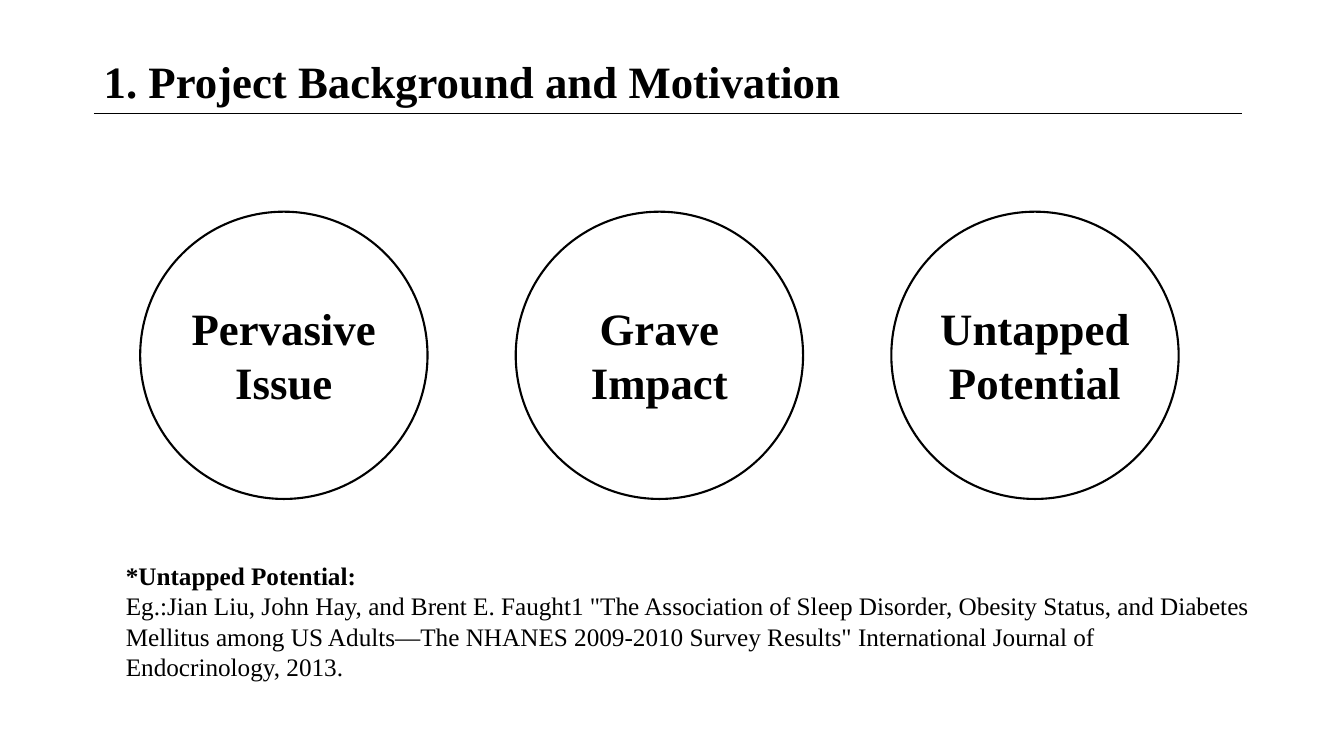
from pptx import Presentation
from pptx.dml.color import RGBColor
from pptx.enum.shapes import MSO_CONNECTOR, MSO_SHAPE
from pptx.enum.text import MSO_AUTO_SIZE, PP_ALIGN
from pptx.oxml.ns import qn
from pptx.util import Inches, Pt
from lxml import etree

LEFT, CENTER = PP_ALIGN.LEFT, PP_ALIGN.CENTER
FIT_SHAPE = MSO_AUTO_SIZE.SHAPE_TO_FIT_TEXT
ELLIPSE, STRAIGHT = MSO_SHAPE.OVAL, MSO_CONNECTOR.STRAIGHT

COLORS = {"ink": "000000", "paper": "FFFFFF"}
FONT = "Times New Roman"

# Circle row
DIAMETER, FIRST_LEFT, CIRCLE_TOP, PITCH = 2.85, 1.39, 2.1, 3.725
LABEL_HEIGHT = 1.18
THEMES = [
    (("Pervasive", "Issue"), 2.05),
    (("Grave", "Impact"), 1.57),
    (("Untapped", "Potential"), 2.1),
]

CITATION = (
    'Eg.:Jian Liu, John Hay, and Brent E. Faught1 "The Association of Sleep '
    "Disorder, Obesity Status, and Diabetes Mellitus among US Adults—The NHANES "
    '2009-2010 Survey Results" International Journal of Endocrinology, 2013.'
)


def color(name):
    return RGBColor.from_string(COLORS[name])


def add_text(shapes, lines, left, top, width, height, *, size=32,
             bold_lines=None, align=LEFT, wrap=False):
    """Add one paragraph per line; the first bold_lines are bold (default all)."""
    box = shapes.add_textbox(Inches(left), Inches(top), Inches(width), Inches(height))
    frame = box.text_frame
    frame.word_wrap = wrap
    frame.auto_size = FIT_SHAPE
    for index, line in enumerate(lines):
        paragraph = frame.paragraphs[0] if index == 0 else frame.add_paragraph()
        paragraph.alignment = align
        run = paragraph.add_run()
        run.text = line
        run.font.name = FONT
        run.font.size = Pt(size)
        run.font.bold = bold_lines is None or index < bold_lines
        run.font.color.rgb = color("ink")


def add_rule(shapes, left, right, y):
    rule = shapes.add_connector(STRAIGHT, Inches(left), Inches(y), Inches(right), Inches(y))
    rule.line.color.rgb = color("ink")
    rule.line.width = Pt(0.5)
    etree.SubElement(rule._element.spPr, qn("a:effectLst"))


def add_theme(shapes, words, label_width, left):
    """Group a circle with the label centred in it."""
    theme = shapes.add_group_shape().shapes
    circle = theme.add_shape(ELLIPSE, Inches(left), Inches(CIRCLE_TOP),
                             Inches(DIAMETER), Inches(DIAMETER))
    circle.shadow.inherit = False
    circle.fill.background()
    circle.line.color.rgb = color("ink")
    circle.line.width = Pt(1.5)
    add_text(theme, words, left + (DIAMETER - label_width) / 2,
             CIRCLE_TOP + (DIAMETER - LABEL_HEIGHT) / 2,
             label_width, LABEL_HEIGHT, align=CENTER)


def main():
    deck = Presentation()
    deck.slide_width, deck.slide_height = Inches(13.33), Inches(7.5)
    slide = deck.slides.add_slide(deck.slide_layouts[6])
    slide.background.fill.solid()
    slide.background.fill.fore_color.rgb = color("paper")
    shapes = slide.shapes

    # Heading
    add_rule(shapes, 0.93, 12.32, 1.12)
    add_text(shapes, ["1. Project Background and Motivation"], 0.93, 0.48, 7.57, 0.64)

    # Three themes
    for index, (words, label_width) in enumerate(THEMES):
        add_theme(shapes, words, label_width, FIRST_LEFT + index * PITCH)

    # Reference
    add_text(shapes, ["*Untapped Potential:", CITATION], 1.15, 5.51, 11.4, 1.31,
             size=18, bold_lines=1, wrap=True)

    deck.save("out.pptx")


if __name__ == "__main__":
    main()
